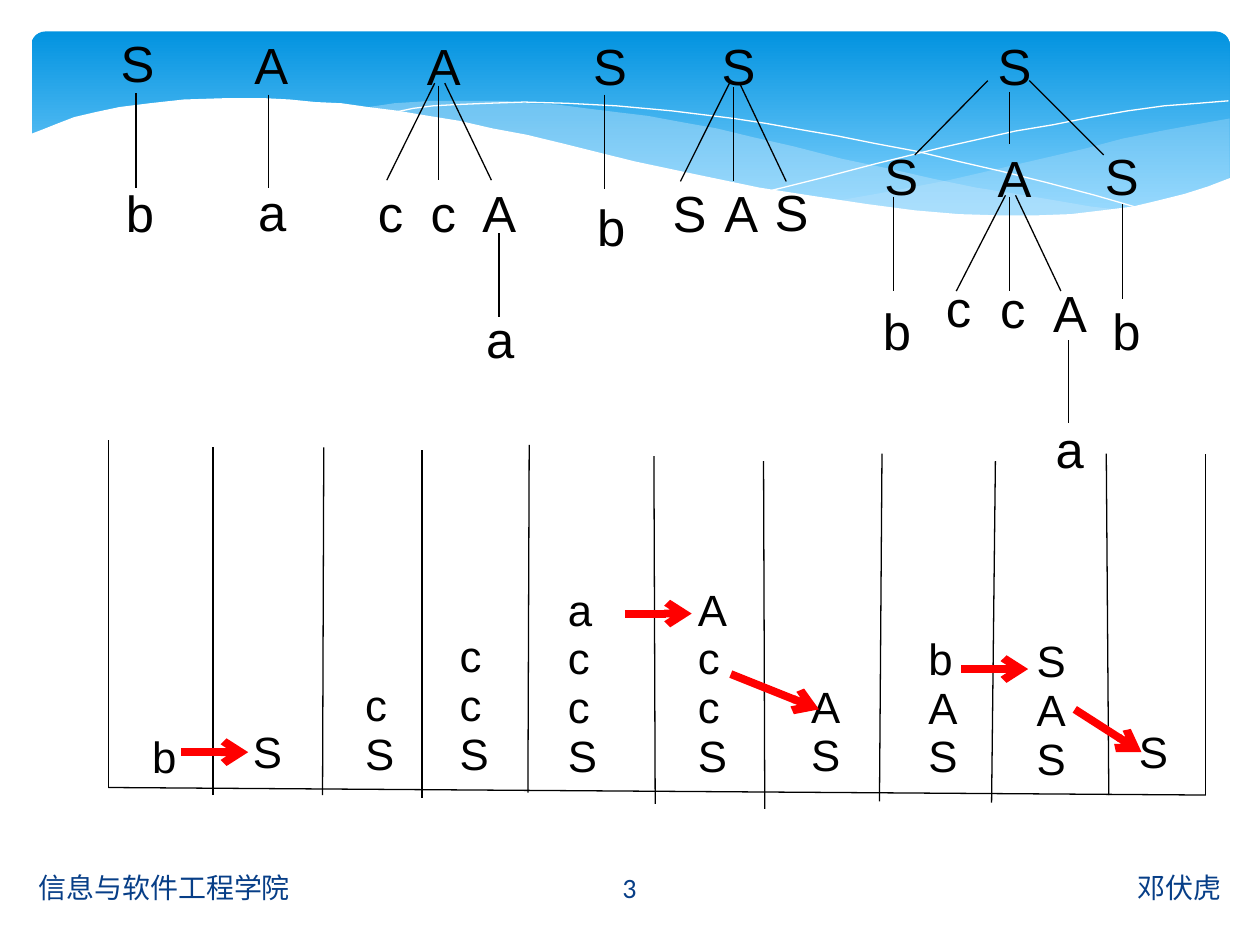
from lxml import etree
from pptx import Presentation
from pptx.dml.color import RGBColor as RGB
from pptx.enum.shapes import MSO_CONNECTOR as CONNECTOR, MSO_SHAPE as SHAPE
from pptx.enum.text import MSO_ANCHOR as ANCHOR, MSO_AUTO_SIZE as FIT, PP_ALIGN as ALIGN
from pptx.oxml.ns import qn
from pptx.util import Inches, Pt

COLORS = {"text": "000000", "footer": "073E87", "arrow": "FF0000", "white": "FFFFFF",
          "sky": "0293E0", "haze": "83D3FE", "wave": "C6E7FC"}
LETTER_WIDTH = {"S": 0.47, "A": 0.47, "a": 0.43, "b": 0.43, "c": 0.4}

RIGHT_WAVE = [
    (9.76, 0.94), (9.48, 0.99), (9.21, 1.04), (8.91, 1.1), (8.61, 1.18), (8.05, 1.31),
    (7.53, 1.43), (7.06, 1.52), (6.61, 1.6), (6.91, 1.64), (7.19, 1.67), (7.45, 1.69),
    (7.69, 1.71), (7.92, 1.72), (8.35, 1.72), (8.63, 1.7), (8.89, 1.66), (9.13, 1.62),
    (9.35, 1.56), (9.49, 1.52), (9.63, 1.47), (9.76, 1.41)]
MIDDLE_WAVE = [
    (8.93, 1.67), (8.66, 1.64), (8.37, 1.59), (8.07, 1.54), (7.75, 1.49), (7.41, 1.42),
    (7.06, 1.34), (6.68, 1.26), (6.29, 1.16), (5.98, 1.09), (5.69, 1.02), (5.41, 0.97),
    (5.14, 0.92), (4.89, 0.89), (4.65, 0.86), (4.42, 0.83), (4.2, 0.82), (3.99, 0.8),
    (3.44, 0.8), (3.13, 0.82), (2.86, 0.86), (3.23, 0.9), (3.62, 0.97), (4.04, 1.06),
    (4.49, 1.16), (4.91, 1.26), (5.3, 1.35), (5.66, 1.43), (6.01, 1.5), (6.34, 1.56),
    (6.65, 1.61), (6.95, 1.65), (7.22, 1.68), (7.48, 1.7), (7.73, 1.72), (7.96, 1.73),
    (8.28, 1.73), (8.57, 1.71), (8.76, 1.69)]
FALLING_CURVE = [
    (3.09, 0.9), (3.28, 0.86), (3.44, 0.84), (3.63, 0.83), (3.87, 0.82), (4.16, 0.81),
    (4.5, 0.82), (4.89, 0.84), (5.33, 0.88), (5.82, 0.94), (6.08, 0.98), (6.36, 1.03),
    (6.65, 1.08), (6.95, 1.14), (7.27, 1.2), (7.6, 1.28), (7.95, 1.36), (8.31, 1.45),
    (8.69, 1.55), (9.07, 1.66)]
RISING_CURVE = [
    (6.13, 1.51), (6.53, 1.41), (6.95, 1.3), (7.48, 1.17), (8.06, 1.04), (8.36, 0.99),
    (8.66, 0.93), (8.95, 0.88), (9.24, 0.84), (9.51, 0.82), (9.75, 0.8)]
WHITE_WAVE = [
    (9.77, 1.41), (9.59, 1.48), (9.4, 1.54), (9.2, 1.59), (8.99, 1.64), (8.75, 1.67),
    (8.5, 1.7), (8.23, 1.71), (7.93, 1.71), (7.61, 1.7), (7.26, 1.67), (6.88, 1.62),
    (6.48, 1.56), (6.03, 1.49), (5.55, 1.39), (5.03, 1.28), (4.47, 1.14), (4.18, 1.07),
    (3.91, 1.02), (3.65, 0.96), (3.4, 0.92), (3.16, 0.88), (2.92, 0.85), (2.71, 0.82),
    (2.5, 0.81), (2.3, 0.79), (2.11, 0.78), (1.77, 0.78), (1.46, 0.79), (1.19, 0.82),
    (0.95, 0.85), (0.76, 0.89), (0.59, 0.93), (0.46, 0.98), (0.36, 1.02), (0.23, 1.07),
    (0.23, 2.24), (9.77, 2.24)]

TREES = [
    ([("S", 0.86, 0.25), ("b", 0.9, 1.44)],
     [(1.08, 0.74, 1.08, 1.49)]),
    ([("A", 1.92, 0.26), ("a", 1.95, 1.43)],
     [(2.13, 0.75, 2.13, 1.49)]),
    ([("A", 3.29, 0.27), ("c", 2.9, 1.44), ("c", 3.32, 1.44), ("A", 3.73, 1.44),
      ("a", 3.76, 2.44)],
     [(3.45, 0.66, 3.07, 1.43), (3.48, 0.68, 3.48, 1.43), (3.53, 0.66, 3.9, 1.43),
      (3.96, 1.85, 3.96, 2.52)]),
    ([("S", 4.61, 0.27), ("b", 4.64, 1.55)],
     [(4.8, 0.75, 4.8, 1.5)]),
    ([("S", 5.63, 0.27), ("S", 5.24, 1.44), ("A", 5.65, 1.44), ("S", 6.05, 1.43)],
     [(5.79, 0.66, 5.4, 1.44), (5.82, 0.69, 5.82, 1.44), (5.87, 0.66, 6.24, 1.44)]),
    ([("S", 7.82, 0.27), ("S", 6.92, 1.14), ("A", 7.82, 1.16), ("S", 8.67, 1.14),
      ("b", 6.91, 2.37), ("c", 7.41, 2.19), ("c", 7.84, 2.2), ("A", 8.26, 2.23),
      ("b", 8.73, 2.37), ("a", 8.28, 3.31)],
     [(7.84, 0.64, 7.26, 1.23), (8.01, 0.73, 8.01, 1.14), (8.17, 0.64, 8.76, 1.23),
      (7.09, 1.56, 7.09, 2.31), (7.98, 1.55, 7.59, 2.31), (8.01, 1.56, 8.01, 2.31),
      (8.06, 1.55, 8.42, 2.31), (8.91, 1.62, 8.91, 2.37), (8.48, 2.7, 8.48, 3.36)]),
]
STACK_WALLS = [
    (0.86, 6.25, 0.86, 3.49), (1.69, 6.31, 1.69, 3.55), (2.56, 6.31, 2.57, 3.55),
    (3.35, 6.33, 3.35, 3.57), (4.19, 6.29, 4.2, 3.53), (5.2, 6.38, 5.19, 3.62),
    (6.07, 6.42, 6.06, 3.66), (6.98, 6.36, 7, 3.6), (7.87, 6.37, 7.9, 3.66),
    (8.8, 6.31, 8.78, 3.6), (9.57, 6.31, 9.57, 3.6)]
STACK_FLOOR = (0.86, 6.25, 9.57, 6.31)
STACKS = [("b", 1.11, 5.78), ("S", 1.91, 5.74), ("cS", 2.8, 5.37), ("ccS", 3.55, 4.98),
          ("accS", 4.41, 4.61), ("AccS", 5.44, 4.61), ("AS", 6.34, 5.38),
          ("bAS", 7.27, 5), ("SAS", 8.13, 5.02), ("S", 8.94, 5.74)]
REDUCTIONS = [(1.44, 5.97, 1.97, 5.97), (4.96, 4.87, 5.49, 4.87), (5.8, 5.35, 6.5, 5.63),
              (7.63, 5.31, 8.16, 5.31), (8.53, 5.63, 9.06, 5.97)]
FOOTERS = [("信息与软件工程学院", 0.21, 4.14, ALIGN.LEFT), ("3", 4.36, 1.27, ALIGN.CENTER),
           ("邓伏虎", 5.65, 4.14, ALIGN.RIGHT)]


class SlideBuilder:
    def __init__(self, page):
        self.page = page
        self.shapes = page.shapes

    def color(self, name):
        return RGB.from_string(COLORS[name])

    def band(self, left, top, width, height):
        band = self.shapes.add_shape(SHAPE.ROUNDED_RECTANGLE, Inches(left), Inches(top),
                                     Inches(width), Inches(height))
        band.shadow.inherit = False
        band.adjustments[0] = 0.07
        band.line.fill.background()
        band.fill.gradient()
        band.fill.gradient_angle = 270
        for stop, name, position in zip(band.fill.gradient_stops, ("sky", "haze"), (0, 0.9)):
            stop.color.rgb = self.color(name)
            stop.position = position

    def outline(self, points, close):
        corners = [(Inches(x), Inches(y)) for x, y in points]
        builder = self.shapes.build_freeform(*corners[0], scale=1.0)
        builder.add_line_segments(corners[1:], close=close)
        shape = builder.convert_to_shape()
        shape.shadow.inherit = False
        return shape

    def wave(self, points, name, opacity=100):
        shape = self.outline(points, True)
        shape.line.fill.background()
        shape.fill.solid()
        shape.fill.fore_color.rgb = self.color(name)
        if opacity < 100:
            tint = shape.fill._xPr.find(".//" + qn("a:srgbClr"))
            etree.SubElement(tint, qn("a:alpha")).set("val", str(opacity * 1000))

    def curve(self, points):
        shape = self.outline(points, False)
        shape.fill.background()
        shape.line.color.rgb = self.color("white")
        shape.line.width = Pt(0)

    def line(self, ends, name="text", width=0.75, arrow=False):
        line = self.shapes.add_connector(CONNECTOR.STRAIGHT, *[Inches(end) for end in ends])
        line.line.color.rgb = self.color(name)
        line.line.width = Pt(width)
        if arrow:
            etree.SubElement(line.line._get_or_add_ln(), qn("a:tailEnd")).set("type", "arrow")
        etree.SubElement(line._element.spPr, qn("a:effectLst"))

    def text(self, lines, left, top, width, height, size, font="Arial", name="text",
             align=ALIGN.LEFT):
        box = self.shapes.add_textbox(Inches(left), Inches(top), Inches(width), Inches(height))
        frame = box.text_frame
        frame.text = "\n".join(lines)
        for para in frame.paragraphs:
            para.alignment = align
            for span in para.runs:
                span.font.size = Pt(size)
                span.font.name = font
                span.font.color.rgb = self.color(name)
        return frame

    def letters(self, letters, left, top, width, height, size):
        frame = self.text(letters, left, top, width, height, size)
        frame.word_wrap = False
        frame.auto_size = FIT.SHAPE_TO_FIT_TEXT
        for para in frame.paragraphs:
            para.line_spacing = 0.93

    def tree(self, nodes, edges):
        self.shapes = self.page.shapes.add_group_shape().shapes
        for letter, left, top in nodes:
            self.letters(letter, left, top, LETTER_WIDTH[letter], 0.56, 29)
        for edge in edges:
            self.line(edge)
        self.shapes = self.page.shapes

    def stack(self, symbols, left, top):
        width = 0.4 if symbols == "b" else 0.44
        self.letters(symbols, left, top, width, 0.1 + 0.39 * len(symbols), 25)

    def footer(self, words, left, width, align):
        frame = self.text([words], left, 6.84, width, 0.4, 16, "Calibri", "footer", align)
        frame.word_wrap = True
        frame.vertical_anchor = ANCHOR.MIDDLE


def main():
    deck = Presentation()
    deck.slide_width, deck.slide_height = Inches(10), Inches(7.5)
    slide = SlideBuilder(deck.slides.add_slide(deck.slide_layouts[6]))
    slide.band(0.25, 0.25, 9.51, 1.56)
    slide.wave(RIGHT_WAVE, "wave", 29)
    slide.wave(MIDDLE_WAVE, "wave", 40)
    slide.curve(FALLING_CURVE)
    slide.curve(RISING_CURVE)
    slide.wave(WHITE_WAVE, "white")
    for wall in [STACK_FLOOR] + STACK_WALLS:
        slide.line(wall)
    for stack in STACKS:
        slide.stack(*stack)
    for tree in TREES:
        slide.tree(*tree)
    for footer in FOOTERS:
        slide.footer(*footer)
    for reduction in REDUCTIONS:
        slide.line(reduction, "arrow", 4.5, arrow=True)
    deck.save("out.pptx")


if __name__ == "__main__":
    main()
